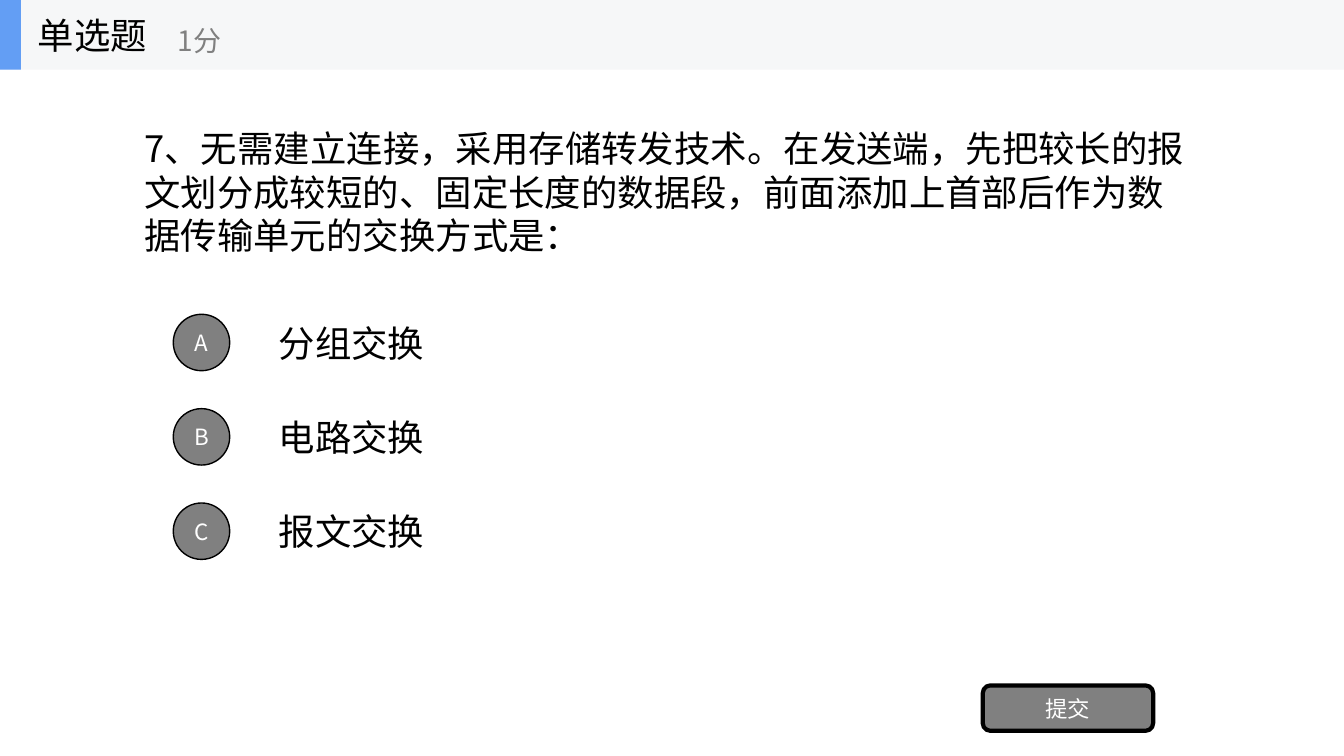
from lxml.etree import SubElement
from pptx import Presentation
from pptx.dml.color import RGBColor
from pptx.enum.shapes import MSO_SHAPE
from pptx.enum.text import MSO_ANCHOR, PP_ALIGN
from pptx.oxml.ns import qn
from pptx.util import Pt

BLACK = RGBColor(0x00, 0x00, 0x00)
WHITE = RGBColor(0xFF, 0xFF, 0xFF)
GRAY = RGBColor(0x80, 0x80, 0x80)
PALE = RGBColor(0xF6, 0xF7, 0xF8)
BLUE = RGBColor(0x63, 0x9E, 0xF4)

QUESTION = (
    "7、无需建立连接，采用存储转发技术。在发送端，先把较长的报文划分成较短的、"
    "固定长度的数据段，前面添加上首部后作为数据传输单元的交换方式是："
)
OPTIONS = [("A", "分组交换"), ("B", "电路交换"), ("C", "报文交换")]
BAR = 49.68
FIRST = 224.5
STEP = 67.4


class Quiz:
    font = "Noto Sans CJK SC"

    def __init__(self, slide):
        self.shapes = slide.shapes

    def label(self, frame, words, size, color, align):
        frame.text = words
        frame.word_wrap = True
        frame.vertical_anchor = MSO_ANCHOR.MIDDLE
        para = frame.paragraphs[0]
        para.alignment = align
        for run in para.runs:
            run.font.size = Pt(size)
            run.font.name = self.font
            run.font.color.rgb = color
            SubElement(run._r.get_or_add_rPr(), qn("a:ea"), typeface=self.font)

    def text(self, words, left, top, width, height, size=26, color=BLACK):
        box = self.shapes.add_textbox(Pt(left), Pt(top), Pt(width), Pt(height))
        self.label(box.text_frame, words, size, color, PP_ALIGN.LEFT)
        return box.text_frame

    def block(self, kind, left, top, width, height, fill):
        shape = self.shapes.add_shape(kind, Pt(left), Pt(top), Pt(width), Pt(height))
        shape.shadow.inherit = False
        shape.fill.solid()
        shape.fill.fore_color.rgb = fill
        shape.line.fill.background()
        return shape

    def button(self, kind, words, left, top, width, height, line):
        shape = self.block(kind, left, top, width, height, GRAY)
        shape.line.color.rgb = BLACK
        shape.line.width = Pt(line)
        frame = shape.text_frame
        frame.margin_left = frame.margin_right = 0
        frame.margin_top = frame.margin_bottom = 0
        self.label(frame, words, 16, WHITE, PP_ALIGN.CENTER)

    def header(self, title, score):
        self.block(MSO_SHAPE.RECTANGLE, 0, 0, 960, BAR, PALE)
        self.block(MSO_SHAPE.RECTANGLE, 0, 0, 15, BAR, BLUE)
        self.text(title, 20, 0, 150, BAR)
        self.text(score, 120, 8.6, 180, 40.3, 20, GRAY)

    def question(self, words):
        frame = self.text(words, 96, BAR, 768, 168.5)
        frame.margin_top = Pt(9.6)
        frame.paragraphs[0].line_spacing = Pt(31)

    def option(self, letter, words, top):
        self.text(words, 192, top - 5, 672, 50.4)
        self.button(MSO_SHAPE.OVAL, letter, 123.8, top, 40.3, 40.3, 1)


def main():
    deck = Presentation()
    deck.slide_width = Pt(960)
    deck.slide_height = Pt(540)
    quiz = Quiz(deck.slides.add_slide(deck.slide_layouts[6]))
    quiz.header("单选题", "1分")
    quiz.question(QUESTION)
    for row, (letter, words) in enumerate(OPTIONS):
        quiz.option(letter, words, FIRST + row * STEP)
    quiz.button(MSO_SHAPE.ROUNDED_RECTANGLE, "提交", 702, 489.6, 121.7, 32.4, 3)
    deck.save("out.pptx")


if __name__ == "__main__":
    main()
